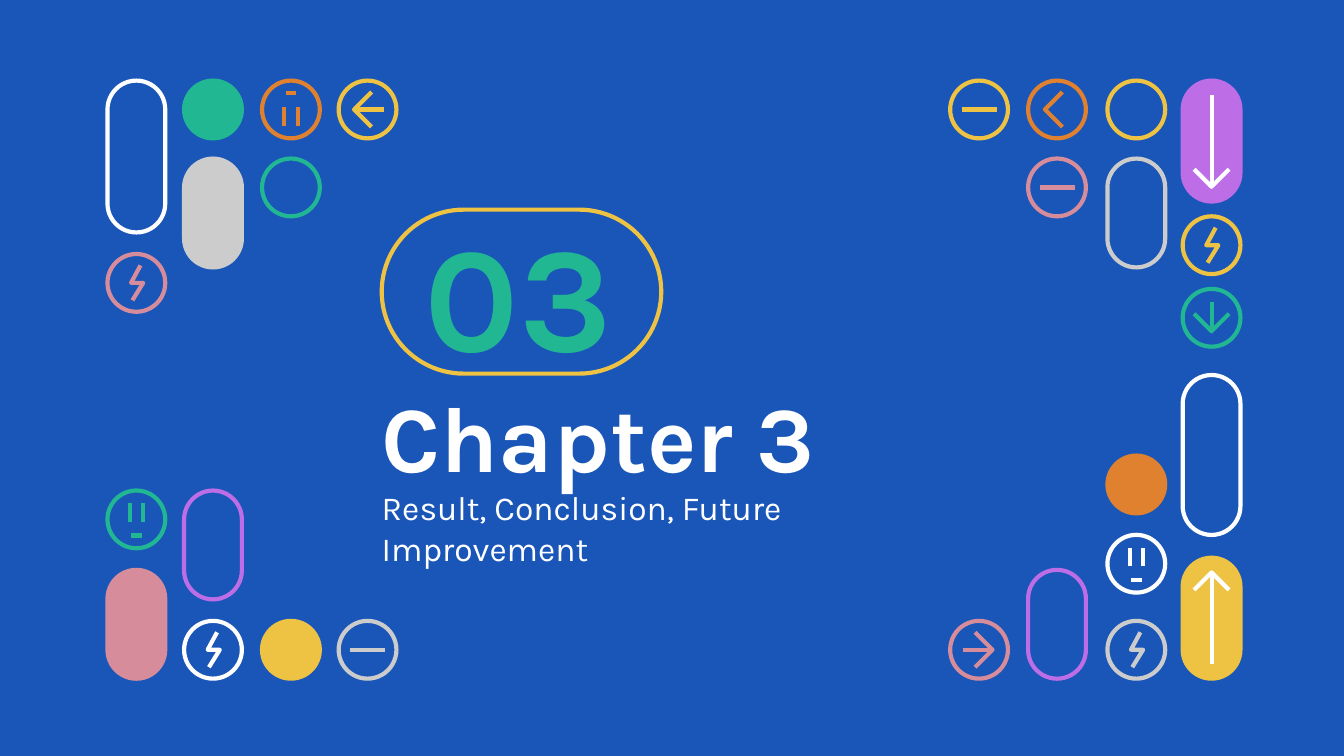
from lxml.etree import SubElement
from pptx import Presentation
from pptx.dml.color import RGBColor
from pptx.enum.shapes import MSO_CONNECTOR, MSO_SHAPE
from pptx.enum.text import MSO_ANCHOR
from pptx.oxml.ns import qn
from pptx.util import Inches, Pt

BLUE = RGBColor(0x1A, 0x56, 0xB8)
WHITE = RGBColor(0xFF, 0xFF, 0xFF)
GREY = RGBColor(0xCC, 0xCC, 0xCC)
YELLOW = RGBColor(0xEE, 0xC2, 0x42)
GREEN = RGBColor(0x21, 0xB7, 0x93)
ORANGE = RGBColor(0xE0, 0x81, 0x30)
PINK = RGBColor(0xD7, 0x8C, 0x9B)
PURPLE = RGBColor(0xBD, 0x6D, 0xE6)

FONT = "Karla"
STROKE = Pt(2.25)
DOT = 0.43
PILL = 0.81
LONG_PILL = 0.9

RIGHT, DOWN, LEFT, UP = (1, 0), (0, 1), (-1, 0), (0, -1)


def turn(strokes, direction):
    cos, sin = direction
    return [[(x * cos - y * sin, x * sin + y * cos) for x, y in stroke] for stroke in strokes]


def chevron(tip, direction):
    return turn([[(tip - 0.13, -0.13), (tip, 0), (tip - 0.13, 0.13)]], direction)


def arrow(tip, tail, direction):
    return chevron(tip, direction) + turn([[(tail, 0), (tip, 0)]], direction)


DASH = [[(-0.13, 0), (0.13, 0)]]
BOLT = [[(0.03, -0.13), (-0.04, 0), (0.05, 0), (-0.03, 0.13)]]
FACE = [[(-0.05, -0.12), (-0.05, 0.02)], [(0.05, -0.12), (0.05, 0.02)], [(-0.04, 0.12), (0.04, 0.12)]]
LONG_ARROW = (0.34, -0.34)
SHORT_ARROW = (0.1, -0.12)

TOP_LEFT = [
    (0, 0, 1.13, WHITE, False, []),
    (0, 1.29, DOT, PINK, False, BOLT),
    (0.57, 0, DOT, GREEN, True, []),
    (0.57, 0.58, PILL, GREY, True, []),
    (1.15, 0, DOT, ORANGE, False, turn(FACE, LEFT)),
    (1.15, 0.58, DOT, GREEN, False, []),
    (1.72, 0, DOT, YELLOW, False, arrow(*SHORT_ARROW, LEFT)),
]
BOTTOM_LEFT = [
    (0, 0, DOT, GREEN, False, FACE),
    (0, 0.59, PILL, PINK, True, []),
    (0.57, 0, PILL, PURPLE, False, []),
    (0.57, 0.97, DOT, WHITE, False, BOLT),
    (1.15, 0.97, DOT, YELLOW, True, []),
    (1.72, 0.97, DOT, GREY, False, DASH),
]
TOP_RIGHT = [
    (0, 0, DOT, YELLOW, False, DASH),
    (0.58, 0, DOT, ORANGE, False, chevron(0.09, LEFT)),
    (0.58, 0.58, DOT, PINK, False, DASH),
    (1.17, 0, DOT, YELLOW, False, []),
    (1.17, 0.58, PILL, GREY, False, []),
    (1.73, 0, LONG_PILL, PURPLE, True, arrow(*LONG_ARROW, DOWN)),
    (1.73, 1.01, DOT, YELLOW, False, BOLT),
    (1.73, 1.55, DOT, GREEN, False, arrow(*SHORT_ARROW, DOWN)),
]
BOTTOM_RIGHT = [
    (0, 1.83, DOT, PINK, False, arrow(*SHORT_ARROW, RIGHT)),
    (0.58, 1.45, PILL, PURPLE, False, []),
    (1.17, 0.6, DOT, ORANGE, True, []),
    (1.17, 1.19, DOT, WHITE, False, FACE),
    (1.17, 1.83, DOT, GREY, False, BOLT),
    (1.73, 0, 1.19, WHITE, False, []),
    (1.73, 1.36, LONG_PILL, YELLOW, True, arrow(*LONG_ARROW, UP)),
]


def add_outline(page, kind, left, top, width, height, color, filled=False):
    shape = page.shapes.add_shape(kind, Inches(left), Inches(top), Inches(width), Inches(height))
    shape.shadow.inherit = False
    if kind == MSO_SHAPE.ROUNDED_RECTANGLE:
        shape.adjustments[0] = 0.5
    if filled:
        shape.fill.solid()
        shape.fill.fore_color.rgb = color
    else:
        shape.fill.background()
    shape.line.color.rgb = color
    shape.line.width = STROKE


def add_stroke(page, points, color):
    spots = [(Inches(x), Inches(y)) for x, y in points]
    if len(spots) == 2:
        mark = page.shapes.add_connector(MSO_CONNECTOR.STRAIGHT, *spots[0], *spots[1])
        SubElement(mark._element.spPr, qn("a:effectLst"))
    else:
        builder = page.shapes.build_freeform(*spots[0])
        builder.add_line_segments(spots[1:], close=False)
        mark = builder.convert_to_shape()
        mark.shadow.inherit = False
        mark.fill.background()
    mark.line.color.rgb = color
    mark.line.width = STROKE


def add_corner(page, left, top, badges):
    for x, y, height, color, filled, symbol in badges:
        kind = MSO_SHAPE.OVAL if height == DOT else MSO_SHAPE.ROUNDED_RECTANGLE
        add_outline(page, kind, left + x, top + y, DOT, height, color, filled)
        middle_x, middle_y = left + x + DOT / 2, top + y + height / 2
        for stroke in symbol:
            points = [(middle_x + dx, middle_y + dy) for dx, dy in stroke]
            add_stroke(page, points, WHITE if filled else color)


def add_text(page, left, top, width, height, text, size, color, bold=False):
    box = page.shapes.add_textbox(Inches(left), Inches(top), Inches(width), Inches(height))
    frame = box.text_frame
    frame.word_wrap = True
    frame.vertical_anchor = MSO_ANCHOR.MIDDLE
    frame.margin_left = frame.margin_right = frame.margin_top = frame.margin_bottom = 0
    frame.text = text
    font = frame.paragraphs[0].runs[0].font
    font.name = FONT
    font.size = Pt(size)
    font.bold = bold
    font.color.rgb = color


def add_heading(page, left, top, width):
    add_outline(page, MSO_SHAPE.ROUNDED_RECTANGLE, left, top, 2.08, 1.22, YELLOW)
    add_text(page, left, top + 1.22, width, 0.92, "Chapter 3", 50, WHITE, bold=True)
    add_text(page, left + 0.32, top + 0.07, 1.45, 1.08, "03", 80, GREEN, bold=True)
    add_text(page, left, top + 2.18, width, 0.37, "Result, Conclusion, Future Improvement", 18, WHITE)


def main():
    deck = Presentation()
    deck.slide_width = Inches(10)
    deck.slide_height = deck.slide_width * 9 // 16
    page = deck.slides.add_slide(deck.slide_layouts[6])
    page.background.fill.solid()
    page.background.fill.fore_color.rgb = BLUE
    add_corner(page, 0.8, 0.6, TOP_LEFT)
    add_corner(page, 0.8, 3.65, BOTTOM_LEFT)
    add_corner(page, 7.07, 0.6, TOP_RIGHT)
    add_corner(page, 7.07, 2.79, BOTTOM_RIGHT)
    add_heading(page, 2.84, 1.56, 4.32)
    deck.save("out.pptx")


if __name__ == "__main__":
    main()
